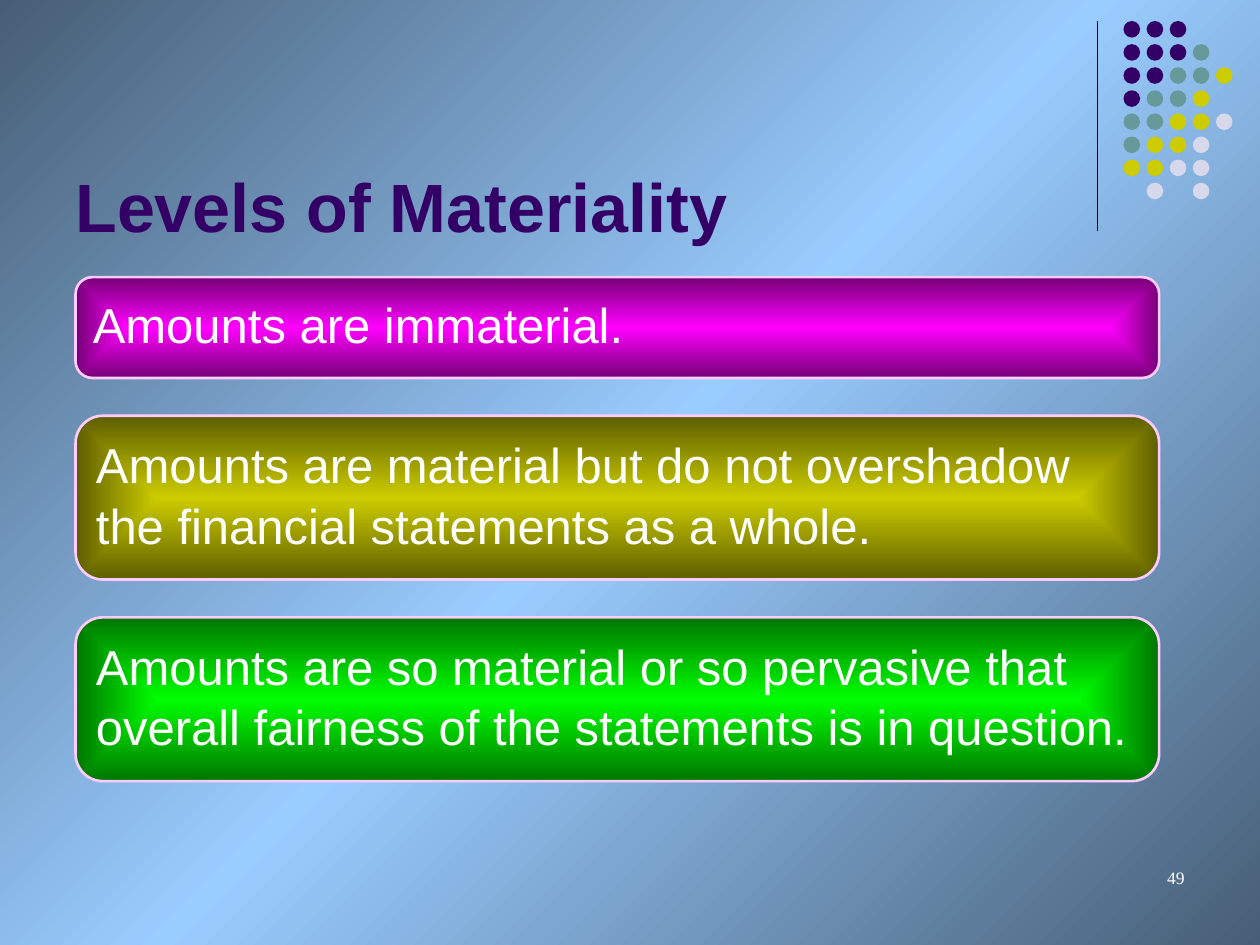
from lxml.etree import SubElement
from pptx import Presentation
from pptx.dml.color import RGBColor
from pptx.enum.shapes import MSO_CONNECTOR, MSO_SHAPE
from pptx.enum.text import MSO_ANCHOR, PP_ALIGN
from pptx.oxml import parse_xml
from pptx.oxml.ns import nsdecls, qn
from pptx.util import Pt


def rgb(color):
    return RGBColor.from_string(color)


def set_gradient(fill, parent, stops, shade):
    fill.solid()
    gs = "".join(f'<a:gs pos="{pos * 1000}"><a:srgbClr val="{c}"/></a:gs>' for pos, c in stops)
    grad = parse_xml(f'<a:gradFill {nsdecls("a")} rotWithShape="1"><a:gsLst>{gs}</a:gsLst>{shade}</a:gradFill>')
    solid = parent.find(qn("a:solidFill"))
    parent.replace(solid, grad)


prs = Presentation()
prs.slide_width, prs.slide_height = Pt(720), Pt(540)
s = prs.slides.add_slide(prs.slide_layouts[6])

bg = s.background.fill
bg.solid()
bg_pr = s.element.find(".//" + qn("p:bgPr"))
set_gradient(bg, bg_pr, [(0, "475E76"), (50, "99CCFF"), (100, "475E76")], '<a:lin ang="2700000" scaled="1"/>')

rule = s.shapes.add_connector(MSO_CONNECTOR.STRAIGHT, Pt(627), Pt(12), Pt(627), Pt(132))
rule.line.color.rgb = rgb("000000")
rule.line.width = Pt(0.75)
SubElement(rule.element.spPr, qn("a:effectLst"))

dot_colors = {"P": "330066", "T": "669999", "Y": "CCCC00", "L": "D8D8EC"}
dot_rows = ["PPP", "PPPT", "PPTTY", "PTTY", "TTYYL", "TYYL", "YYLL", " L L"]
dots = s.shapes.add_group_shape()
for row, keys in enumerate(dot_rows):
    for col, key in enumerate(keys):
        if key in dot_colors:
            sp = dots.shapes.add_shape(MSO_SHAPE.OVAL, Pt(642 + 13.2 * col), Pt(12 + 13.2 * row), Pt(9.5), Pt(9.5))
            sp.shadow.inherit = False
            sp.fill.solid()
            sp.fill.fore_color.rgb = rgb(dot_colors[key])
            sp.line.fill.background()

labels = [
    ("Levels of Materiality", (36, 9, 594, 135), MSO_ANCHOR.BOTTOM, PP_ALIGN.LEFT, "Arial", 39, True, "330066"),
    ("49", (516, 492, 168, 36), MSO_ANCHOR.TOP, PP_ALIGN.RIGHT, "Times New Roman", 10, False, "FFFFFF"),
]
for text, box, anchor, align, font, size, bold, color in labels:
    tf = s.shapes.add_textbox(*map(Pt, box)).text_frame
    tf.word_wrap = True
    tf.vertical_anchor = anchor
    tf.text = text
    p = tf.paragraphs[0]
    p.alignment = align
    p.font.name, p.font.size, p.font.bold = font, Pt(size), bold
    p.font.color.rgb = rgb(color)

levels = [
    (158.4, 57.6, "FF00FF", "760076", "Amounts are immaterial."),
    (237.6, 93.6, "CCCC00", "5E5E00",
     "Amounts are material but do not overshadow\nthe financial statements as a whole."),
    (352.8, 93.6, "00FF00", "007600",
     "Amounts are so material or so pervasive that\noverall fairness of the statements is in question."),
]
for top, height, inner, outer, text in levels:
    sp = s.shapes.add_shape(MSO_SHAPE.ROUNDED_RECTANGLE, Pt(43.2), Pt(top), Pt(619.2), Pt(height))
    sp.shadow.inherit = False
    set_gradient(sp.fill, sp.element.spPr, [(0, inner), (100, outer)],
                 '<a:path path="rect"><a:fillToRect l="50000" t="50000" r="50000" b="50000"/></a:path>')
    sp.line.color.rgb = rgb("FFCCFF")
    sp.line.width = Pt(1.5)
    tf = sp.text_frame
    tf.word_wrap = False
    tf.vertical_anchor = MSO_ANCHOR.MIDDLE
    tf.margin_bottom = Pt(7.2)
    tf.text = text
    for i, p in enumerate(tf.paragraphs):
        p.alignment = PP_ALIGN.LEFT
        p.space_before = Pt(i)
        p.font.name, p.font.size = "Arial", Pt(28)
        p.font.color.rgb = rgb("FFFFFF")

prs.save("out.pptx")
